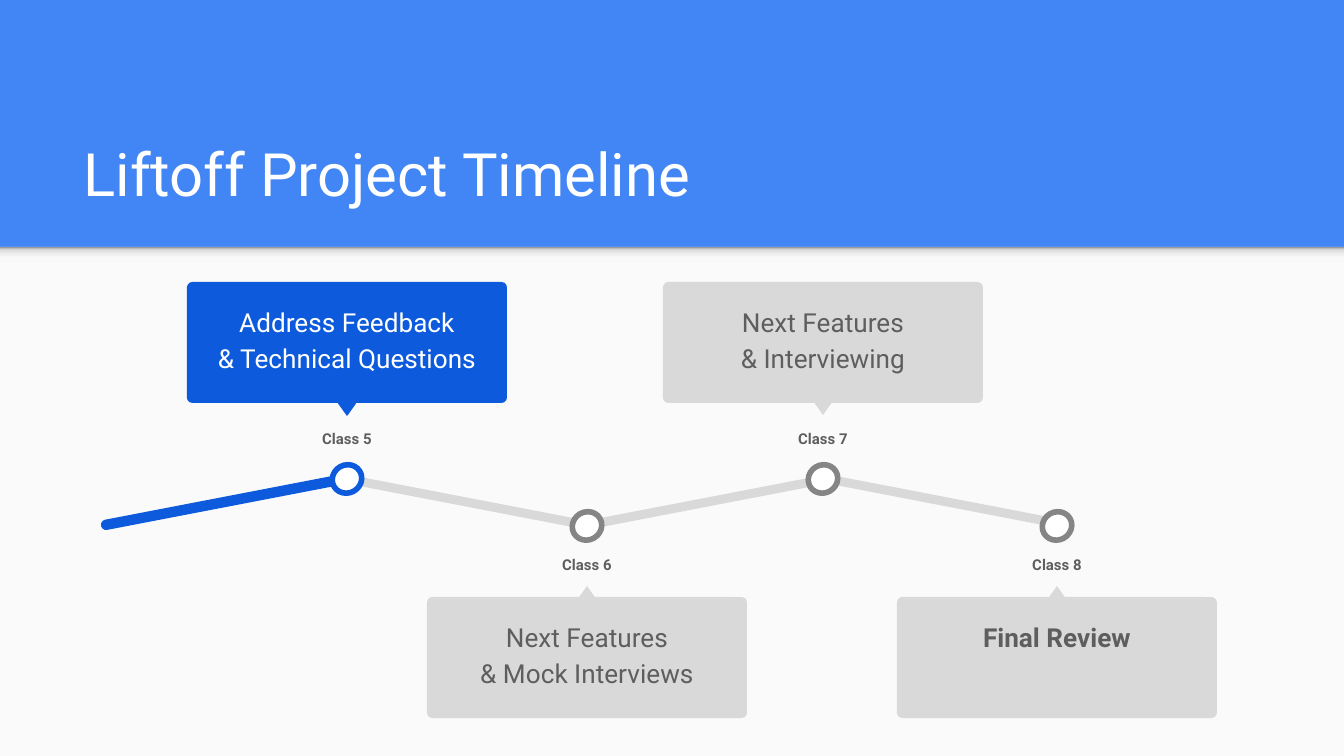
from lxml.etree import SubElement
from pptx import Presentation
from pptx.dml.color import RGBColor
from pptx.enum.shapes import MSO_SHAPE
from pptx.enum.text import MSO_ANCHOR, MSO_AUTO_SIZE, PP_ALIGN
from pptx.oxml.ns import qn
from pptx.util import Pt

# Content: centre x in px, side of the line, class label, card text, state
TITLE = "Liftoff Project Timeline"
MILESTONES = [
    (347, "above", "Class 5", "Address Feedback\v& Technical Questions", "current"),
    (587, "below", "Class 6", "Next Features\v& Mock Interviews", "next"),
    (823, "above", "Class 7", "Next Features\v& Interviewing", "next"),
    (1057, "below", "Class 8", "Final Review", "final"),
]
# Line segments: centre x, rotation, colour name
SEGMENTS = [(225, -10.9, "blue"), (466, 10.9, "grey"),
            (708, -10.9, "grey"), (947, 10.9, "grey")]
SHADOW = [(0, "F9F9F9"), (36, "F9F9F9"), (80, "DEDEDE"), (100, "999999")]

THEME = {
    "font": "Roboto", "title": 32, "card": 14, "label": 8,
    "band": "4285F4", "panel": "FAFAFA", "white": "FFFFFF",
    "blue": "0D5BDC", "grey": "D9D9D9", "ring": "858585", "text": "5E5E5E",
}

# Geometry in px
W, H = 1344, 756
BAND_H = 247
SEGMENT_W, SEGMENT_H, SEGMENT_Y = 251, 9, 502
DOT_W, DOT_H = 30, 28
LABEL_W, LABEL_H = 130, 47
CARD_W, CARD_H, CARD_PAD = 320, 121, 8
POINTER_W, POINTER_H = 17, 12
TOPS = {
    "above": {"card": 282, "pointer": 403, "label": 414, "dot": 465},
    "below": {"card": 597, "pointer": 586, "label": 540, "dot": 512},
}


def px(n):
    return round(n * 914400 / 134.4)


def rgb(name):
    return RGBColor.from_string(THEME[name])


def add_box(kind, x, y, w, h, fill, line=None, weight=0.75, rotation=0, radius=None):
    s = slide.shapes.add_shape(kind, px(x), px(y), px(w), px(h))
    s.shadow.inherit = False
    s.rotation = rotation
    if radius is not None:
        s.adjustments[0] = radius
    s.fill.solid()
    s.fill.fore_color.rgb = rgb(fill)
    if line:
        s.line.color.rgb = rgb(line)
        s.line.width = Pt(weight)
    else:
        s.line.fill.background()
    return s


def write(tf, text, size, color, bold=False, align=PP_ALIGN.CENTER,
          anchor=MSO_ANCHOR.TOP, spacing=1.15, after=16):
    tf.word_wrap = True
    tf.auto_size = MSO_AUTO_SIZE.NONE
    tf.vertical_anchor = anchor
    tf.margin_left = tf.margin_right = tf.margin_top = tf.margin_bottom = Pt(7.2)
    tf.text = text
    p = tf.paragraphs[0]
    p.alignment, p.line_spacing, p.space_after = align, spacing, Pt(after)
    for r in p.runs:
        r.font.name, r.font.size, r.font.bold = THEME["font"], Pt(THEME[size]), bold
        r.font.color.rgb = rgb(color)


def add_text(x, y, w, h, text, **fmt):
    s = slide.shapes.add_textbox(px(x), px(y), px(w), px(h))
    write(s.text_frame, text, **fmt)


def set_gradient(s, stops):
    s.fill.gradient()
    s.fill.gradient_angle = 90
    gs_list = next(s.element.iter(qn("a:gsLst")))
    for gs in list(gs_list):
        gs_list.remove(gs)
    for pos, color in stops:
        gs = SubElement(gs_list, qn("a:gs"), pos=str(pos * 1000))
        SubElement(gs, qn("a:srgbClr"), val=color)


def add_milestone(cx, side, label, text, state):
    current = state == "current"
    top = TOPS[side]
    fill = "blue" if current else "grey"
    card_x = cx - CARD_W / 2
    add_box(MSO_SHAPE.OVAL, cx - DOT_W / 2, top["dot"], DOT_W, DOT_H, "white",
            line="blue" if current else "ring", weight=3, rotation=330.2)
    add_text(cx - LABEL_W / 2, top["label"], LABEL_W, LABEL_H, label,
             size="label", color="text", bold=True)
    add_box(MSO_SHAPE.ROUNDED_RECTANGLE, card_x, top["card"], CARD_W, CARD_H,
            fill, radius=0.045)
    add_box(MSO_SHAPE.ISOSCELES_TRIANGLE, cx - POINTER_W / 2, top["pointer"],
            POINTER_W, POINTER_H, fill, line="blue" if current else None,
            rotation=180 if side == "above" else 0)
    add_text(card_x + CARD_PAD, top["card"] + 6, CARD_W - 2 * CARD_PAD, CARD_H - 13,
             text, size="card", color="white" if current else "text",
             bold=state == "final")


prs = Presentation()
prs.slide_width, prs.slide_height = px(W), px(H)
slide = prs.slides.add_slide(prs.slide_layouts[5])

# Title band, panel and the band's shadow
slide.background.fill.solid()
slide.background.fill.fore_color.rgb = rgb("band")
add_box(MSO_SHAPE.RECTANGLE, 0, BAND_H, W, H - BAND_H, "panel")
set_gradient(add_box(MSO_SHAPE.RECTANGLE, 0, BAND_H, W, 16, "panel"), SHADOW)

title = slide.shapes.title
title.left, title.top, title.width, title.height = px(70), px(109), px(1208), px(113)
write(title.text_frame, TITLE, size="title", color="white", align=PP_ALIGN.LEFT,
      anchor=MSO_ANCHOR.BOTTOM, spacing=1.0, after=0)

# Zigzag line
for cx, angle, color in SEGMENTS:
    add_box(MSO_SHAPE.ROUNDED_RECTANGLE, cx - SEGMENT_W / 2, SEGMENT_Y - SEGMENT_H / 2,
            SEGMENT_W, SEGMENT_H, color, line="blue" if color == "blue" else None,
            rotation=angle, radius=0.5)

# Milestones
for milestone in MILESTONES:
    add_milestone(*milestone)

prs.save("out.pptx")
